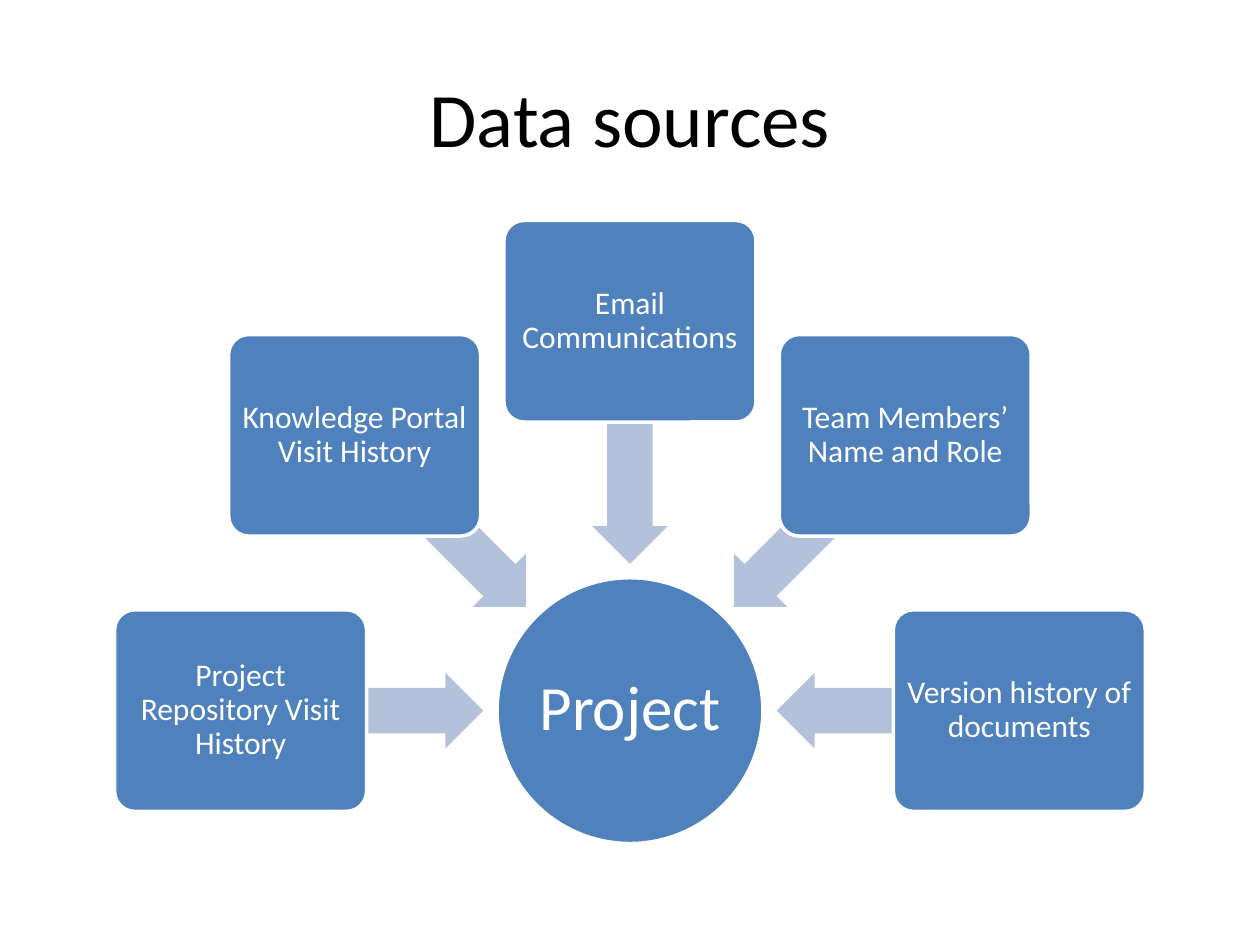
from math import cos, pi, sin

from pptx import Presentation
from pptx.dml.color import RGBColor
from pptx.enum.shapes import MSO_SHAPE
from pptx.enum.text import MSO_ANCHOR, PP_ALIGN
from pptx.util import Inches, Pt

OVAL, BOX, ARROW = MSO_SHAPE.OVAL, MSO_SHAPE.ROUNDED_RECTANGLE, MSO_SHAPE.LEFT_ARROW
MIDDLE, CENTER = MSO_ANCHOR.MIDDLE, PP_ALIGN.CENTER
BLACK = RGBColor(0x00, 0x00, 0x00)
WHITE = RGBColor(0xFF, 0xFF, 0xFF)
BLUE = RGBColor(0x4F, 0x81, 0xBD)
PALE_BLUE = RGBColor(0xB3, 0xC1, 0xDB)

HUB_X, HUB_Y = 5, 5.64
BOX_RADIUS, ARROW_RADIUS = 3.09, 2.13
SOURCES = [
    "Project Repository Visit History",
    "Knowledge Portal Visit History",
    "Email Communications",
    "Team Members’ Name and Role",
    "Version history of documents",
]


def add_centered(kind, x, y, w, h, color):
    """Add a filled shape whose centre is at x, y."""
    sp = s.shapes.add_shape(kind, Inches(x - w / 2), Inches(y - h / 2), Inches(w), Inches(h))
    sp.shadow.inherit = False
    sp.fill.solid()
    sp.fill.fore_color.rgb = color
    sp.line.fill.background()
    return sp


def add_label(sp, text, size, inset, wrap):
    """Outline the shape in white and write centred text in it."""
    sp.line.color.rgb = WHITE
    sp.line.width = Pt(2)
    tf = sp.text_frame
    tf.text = text
    tf.word_wrap = wrap
    tf.vertical_anchor = MIDDLE
    tf.margin_left = tf.margin_right = tf.margin_top = tf.margin_bottom = Inches(inset)
    p = tf.paragraphs[0]
    p.alignment = CENTER
    p.line_spacing = 0.9
    font = p.runs[0].font
    font.name, font.size, font.color.rgb = "Calibri", Pt(size), WHITE


prs = Presentation()
prs.slide_width, prs.slide_height = Inches(10), Inches(7.5)
s = prs.slides.add_slide(prs.slide_layouts[5])

title = s.shapes.title
title.left, title.top, title.width, title.height = Inches(0.5), Inches(0.3), Inches(9), Inches(1.25)
title.text_frame.text = "Data sources"
title.text_frame.vertical_anchor = MIDDLE
p = title.text_frame.paragraphs[0]
p.alignment = CENTER
font = p.runs[0].font
font.name, font.size, font.color.rgb = "Calibri", Pt(44), BLACK

# The hub's single word stays on one line
hub = add_centered(OVAL, HUB_X, HUB_Y, 2.11, 2.11, BLUE)
add_label(hub, "Project", 36, 0, wrap=False)

# The sources sit on a half circle around the hub, from left to right
for i, source in enumerate(SOURCES):
    angle = 180 + i * 180 / (len(SOURCES) - 1)
    dx, dy = cos(angle * pi / 180), sin(angle * pi / 180)

    arrow = add_centered(ARROW, HUB_X + ARROW_RADIUS * dx, HUB_Y + ARROW_RADIUS * dy,
                         1.93, 0.6, PALE_BLUE)
    arrow.adjustments[0], arrow.adjustments[1] = 0.6, 0.5
    arrow.rotation = angle % 360

    box = add_centered(BOX, HUB_X + BOX_RADIUS * dx, HUB_Y + BOX_RADIUS * dy, 2, 1.6, BLUE)
    box.adjustments[0] = 0.1
    add_label(box, source, 18, 0.04, wrap=True)

prs.save("out.pptx")
